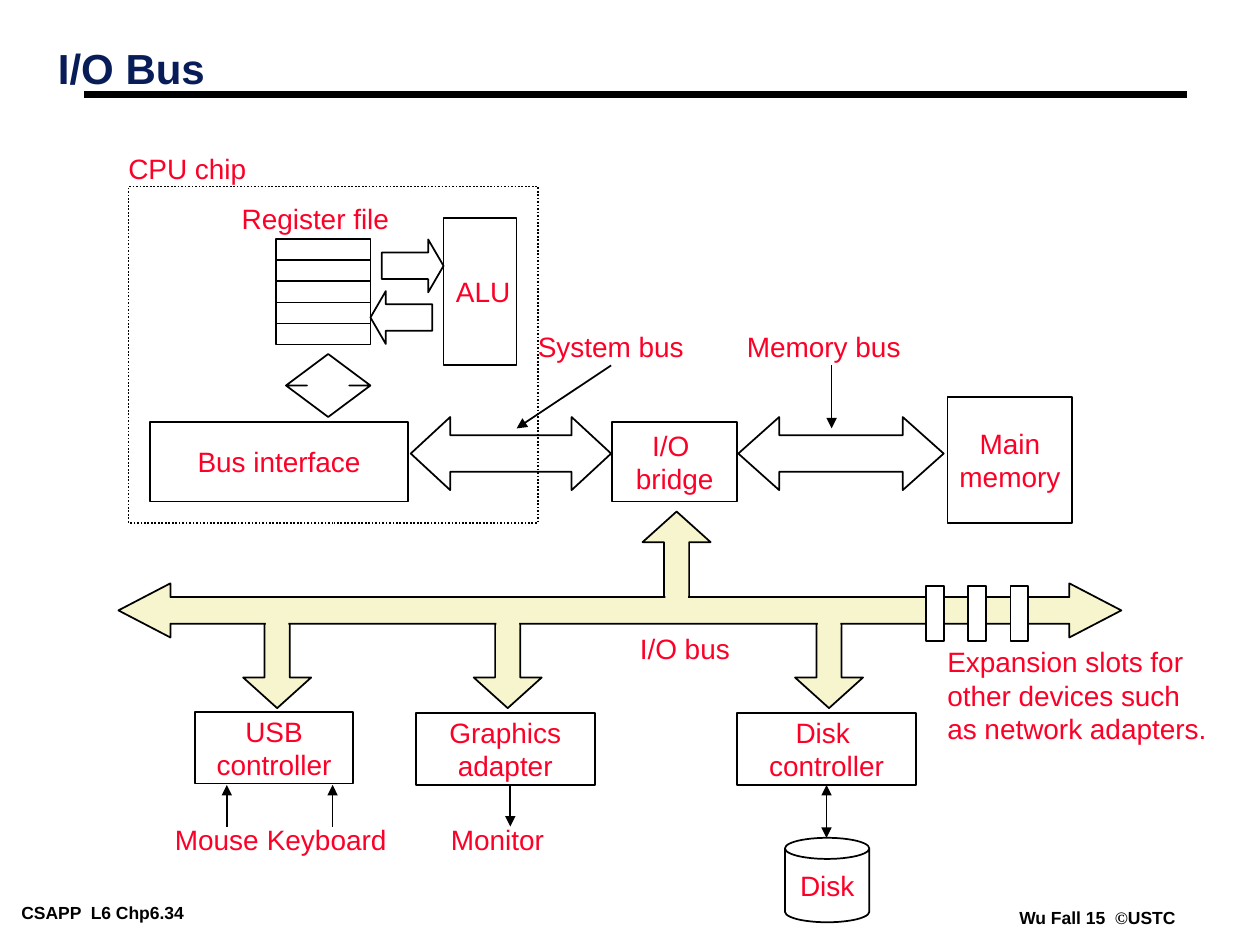
import pptx
import pptx.util
import pptx.dml.color
import pptx.enum.dml
import pptx.enum.shapes
import pptx.enum.text
import pptx.oxml

SHAPE = pptx.enum.shapes.MSO_SHAPE
ALIGN = pptx.enum.text.PP_ALIGN
ANCHOR = pptx.enum.text.MSO_ANCHOR
COLORS = {"black": "000000", "white": "FFFFFF", "navy": "081D58",
          "red": "FC0128", "cream": "F7F5CD"}
COLS = 100

TITLE = ("I/O Bus", (3.9, 3.6, 83, 8.3))
FOOTERS = [
    ([("CSAPP  L6 Chp6.34", "Arial")], (1, 71.3, 14.3, 2.2)),
    ([("Wu Fall 15  ", "Arial"), ("©", "Times New Roman"), ("USTC", "Arial")],
     (80.2, 71.7, 13.8, 2.2)),
]
BOXES = {
    "memory": (["Main", "memory"], (75.2, 31.5, 9.9, 10)),
    "bridge": (["I/O ", "bridge"], (48.6, 33.5, 9.9, 6.3)),
    "interface": (["Bus interface"], (11.9, 33.5, 20.5, 6.3)),
    "disk controller": (["Disk ", "controller"], (58.5, 56.6, 14.2, 5.7)),
    "graphics": (["Graphics", "adapter"], (33, 56.6, 14.2, 5.7)),
    "usb": (["USB", "controller"], (15.5, 56.5, 12.5, 5.7)),
}
ALU = (["ALU"], (35.2, 17.3, 5.8, 11.7))
DISK = (["Disk"], (62.3, 66.5, 6.7, 6.7))
CPU_CHIP = (10.2, 14.8, 32.5, 26.7)
ARROWS = [
    (SHAPE.LEFT_RIGHT_ARROW, (58.6, 33.1, 16.3, 5.8), (0.5, 0.56)),
    (SHAPE.LEFT_RIGHT_ARROW, (32.6, 33.1, 15.9, 5.8), (0.5, 0.54)),
    (SHAPE.RIGHT_ARROW, (30.3, 19, 4.9, 4.2), (0.5, 0.29)),
    (SHAPE.LEFT_ARROW, (29.4, 23.1, 4.9, 4.2), (0.5, 0.29)),
    (SHAPE.UP_DOWN_ARROW, (22.7, 28.1, 6.7, 5), (0.2, 0.5)),
]
BUS = (9.4, 46.3, 79.6, 4.3)
BRANCHES = [
    (SHAPE.UP_ARROW, 51, 40.6, 47.3),
    (SHAPE.DOWN_ARROW, 63.1, 48.7, 48),
    (SHAPE.DOWN_ARROW, 37.6, 48.7, 48.1),
    (SHAPE.DOWN_ARROW, 19.3, 48.7, 48.2),
]
BRANCH_W, BRANCH_H, PATCH = 5.4, 7.5, 1.8
REGISTERS, REGISTER = 5, (21.9, 19, 7.5, 1.67)
SLOTS, SLOT, SLOT_STEP = 3, (73.5, 46.5, 1.4, 4.4), 3.35
LABEL_H = 3.7
LABELS = [
    (["Register file"], (18.2, 15.5, 15, LABEL_H)),
    (["CPU chip"], (9.2, 11.5, 14, LABEL_H)),
    (["System bus"], (41.7, 25.6, 15, LABEL_H)),
    (["Memory bus"], (58.3, 25.6, 16, LABEL_H)),
    (["Mouse"], (12.9, 64.8, 11, LABEL_H)),
    (["Keyboard"], (20.2, 64.8, 13, LABEL_H)),
    (["Monitor"], (34.8, 64.8, 12, LABEL_H)),
    (["I/O bus"], (49.8, 49.6, 12, LABEL_H)),
    (["Expansion slots for", "other devices such", "as network adapters."],
     (74.2, 50.8, 24, 8.7)),
]
POINTERS = [
    ((48.5, 29), (41, 34)),
    ((66, 29), (66, 34)),
    ((18, 65.6), (18, 62.3)),
    ((26.4, 65.6), (26.4, 62.3)),
    ((40.5, 62.3), (40.5, 65.6)),
]

prs = pptx.Presentation()
prs.slide_width = pptx.util.Inches(10)
prs.slide_height = pptx.util.Inches(7.5)
cell = prs.slide_width / COLS
s = prs.slides.add_slide(prs.slide_layouts[6])


def grid(values):
    return [round(v * cell) for v in values]


def rgb(name):
    return pptx.dml.color.RGBColor.from_string(COLORS[name])


def write(sp, paragraphs, size, color, bold=False, align=ALIGN.LEFT,
          anchor=ANCHOR.MIDDLE, insets=(1, 0.5), wrap=False, spacing=None):
    tf = sp.text_frame
    tf.word_wrap = wrap
    tf.vertical_anchor = anchor
    tf.margin_left = tf.margin_right = round(insets[0] * cell)
    tf.margin_top = tf.margin_bottom = round(insets[1] * cell)
    for i, runs in enumerate(paragraphs):
        p = tf.add_paragraph() if i else tf.paragraphs[0]
        p.alignment = align
        p.line_spacing = spacing
        for text, font in runs:
            r = p.add_run()
            r.text = text
            r.font.name = font
            r.font.size = pptx.util.Pt(size)
            r.font.bold = bold
            r.font.color.rgb = rgb(color)


def add_label(sp, lines, align=ALIGN.CENTER, wrap=False):
    write(sp, [[(line, "Arial")] for line in lines], 16, "red", align=align, wrap=wrap)


def add_shape(kind, area, fill=None, line="black", adjust=()):
    sp = s.shapes.add_shape(kind, *grid(area))
    sp.shadow.inherit = False
    for i, value in enumerate(adjust):
        sp.adjustments[i] = value
    if fill:
        sp.fill.solid()
        sp.fill.fore_color.rgb = rgb(fill)
    else:
        sp.fill.background()
    if line:
        sp.line.color.rgb = rgb(line)
        sp.line.width = pptx.util.Pt(1)
    else:
        sp.line.fill.background()
    return sp


def add_line(start, end, width=1, ends=()):
    c = s.shapes.add_connector(pptx.enum.shapes.MSO_CONNECTOR.STRAIGHT,
                               *grid(start + end))
    c.line.color.rgb = rgb("black")
    c.line.width = pptx.util.Pt(width)
    ln = c.line._get_or_add_ln()
    for tag in ends:
        head = pptx.oxml.xmlchemy.OxmlElement("a:" + tag)
        head.set("type", "triangle")
        ln.append(head)
    c._element.spPr.append(pptx.oxml.xmlchemy.OxmlElement("a:effectLst"))
    return c


for runs, area in FOOTERS:
    write(s.shapes.add_textbox(*grid(area)), [runs], 10, "black", True,
          anchor=ANCHOR.TOP, insets=(0.7, 0.3))
add_line((6.7, 7.5), (94.2, 7.5), 4.5)
write(s.shapes.add_textbox(*grid(TITLE[1])), [[(TITLE[0], "Arial")]], 24, "navy", True,
      anchor=ANCHOR.TOP, insets=(0.7, 0.3), wrap=True, spacing=0.87)

chip = add_shape(SHAPE.RECTANGLE, CPU_CHIP)
chip.line.dash_style = pptx.enum.dml.MSO_LINE.ROUND_DOT
boxes = {}
for name, (lines, area) in BOXES.items():
    boxes[name] = add_shape(SHAPE.RECTANGLE, area)
    add_label(boxes[name], lines)
add_label(add_shape(SHAPE.RECTANGLE, ALU[1]), ALU[0], ALIGN.LEFT)
add_label(add_shape(SHAPE.CAN, DISK[1], adjust=(0.25,)), DISK[0])

x, y, w, h = REGISTER
for i in range(REGISTERS):
    add_shape(SHAPE.RECTANGLE, (x, y + i * h, w, h))
for kind, area, adjust in ARROWS:
    add_shape(kind, area, adjust=adjust)

for kind, x, y, _ in BRANCHES:
    add_shape(kind, (x, y, BRANCH_W, BRANCH_H), "cream", adjust=(0.37, 0.45))
add_shape(SHAPE.LEFT_RIGHT_ARROW, BUS, "cream", adjust=(0.49, 0.96))
for _, x, _, y in BRANCHES:
    add_shape(SHAPE.RECTANGLE, (x + (BRANCH_W - PATCH) / 2, y, PATCH, PATCH), "cream", None)
x, y, w, h = SLOT
for i in range(SLOTS):
    add_shape(SHAPE.RECTANGLE, (x + i * SLOT_STEP, y, w, h), "white")

for lines, area in LABELS:
    add_label(s.shapes.add_textbox(*grid(area)), lines, ALIGN.LEFT, wrap=True)
for start, end in POINTERS:
    add_line(start, end, ends=("tailEnd",))
link = add_line((65.6, 62.3), (65.6, 66.5), ends=("headEnd", "tailEnd"))
link.begin_connect(boxes["disk controller"], 2)

prs.save("out.pptx")
